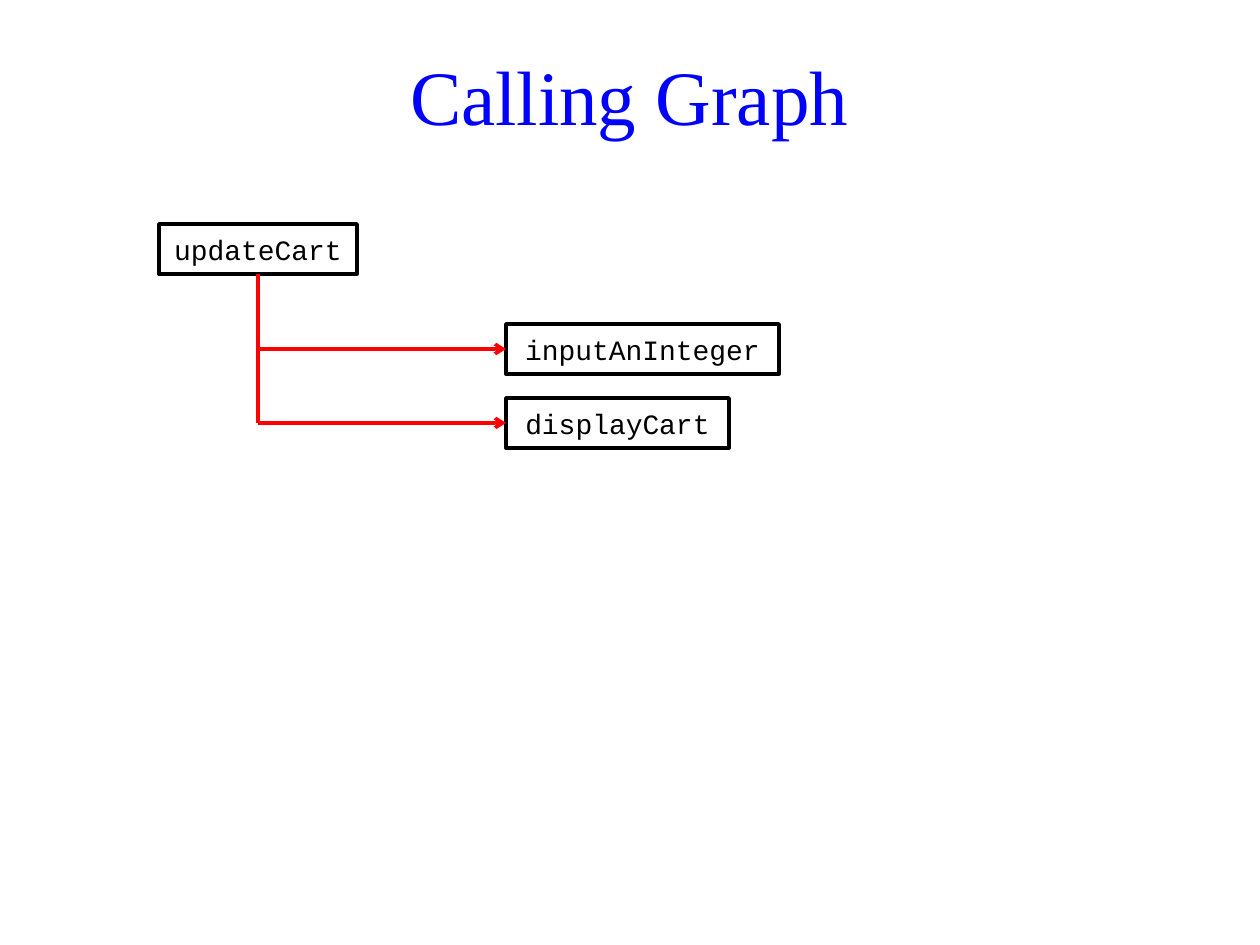
from dataclasses import dataclass

from lxml import etree
from pptx import Presentation
from pptx import util as u
from pptx.dml.color import RGBColor
from pptx.enum import shapes, text
from pptx.oxml import ns

SCALE = 914400 // 126


@dataclass(frozen=True)
class Theme:
    title_color: str = "0000FF"
    ink: str = "000000"
    arrow: str = "FF0000"
    title_font: str = "Times New Roman"
    code_font: str = "Courier New"
    title_size: int = 44
    code_size: int = 16
    line_width: int = 2


def px(*lengths):
    return [u.Emu(round(length * SCALE)) for length in lengths]


def apply(target, formats):
    for name, value in formats.items():
        setattr(target, name, value)


class GraphSlide:
    def __init__(self, presentation, theme):
        self.theme = theme
        self.slide = presentation.slides.add_slide(presentation.slide_layouts[5])

    def label(self, shape, words, font, size, color, margins, spacing=1.0):
        frame = shape.text_frame
        frame.text = words
        side, edge = px(*margins)
        apply(frame, {
            "word_wrap": True,
            "auto_size": text.MSO_AUTO_SIZE.NONE,
            "vertical_anchor": text.MSO_ANCHOR.MIDDLE,
            "margin_left": side, "margin_right": side,
            "margin_top": edge, "margin_bottom": edge,
        })
        paragraph = frame.paragraphs[0]
        apply(paragraph, {"alignment": text.PP_ALIGN.CENTER, "line_spacing": spacing})
        run_font = paragraph.runs[0].font
        apply(run_font, {"name": font, "size": u.Pt(size), "bold": False})
        run_font.color.rgb = RGBColor.from_string(color)

    def outline(self, shape, color):
        shape.line.color.rgb = RGBColor.from_string(color)
        shape.line.width = u.Pt(self.theme.line_width)

    def title(self, words, left, top, width, height):
        shape = self.slide.shapes.title
        apply(shape, dict(zip(("left", "top", "width", "height"),
                              px(left, top, width, height))))
        self.label(shape, words, self.theme.title_font, self.theme.title_size,
                   self.theme.title_color, (12, 6), 0.9)

    def box(self, words, left, top, width, height, side=12):
        shape = self.slide.shapes.add_shape(
            shapes.MSO_SHAPE.FLOWCHART_PROCESS, *px(left, top, width, height))
        shape.shadow.inherit = False
        shape.fill.background()
        self.outline(shape, self.theme.ink)
        self.label(shape, words, self.theme.code_font, self.theme.code_size,
                   self.theme.ink, (side, 6))

    def line(self, start, end, arrow=False):
        connector = self.slide.shapes.add_connector(
            shapes.MSO_CONNECTOR.STRAIGHT, *px(*start, *end))
        self.outline(connector, self.theme.arrow)
        properties = connector._element.spPr
        if arrow:
            etree.SubElement(properties.find(ns.qn("a:ln")),
                             ns.qn("a:tailEnd"), type="arrow")
        etree.SubElement(properties, ns.qn("a:effectLst"))


presentation = Presentation()
presentation.slide_width, presentation.slide_height = px(1260, 945)
graph = GraphSlide(presentation, Theme())
graph.title("Calling Graph", 34, 26, 1191, 149)

BOX_HEIGHT = 50
CALLER_LEFT, CALLER_TOP, CALLER_WIDTH = 159, 224, 198
CALLEE_LEFT = 506
callees = [("inputAnInteger", 324, 273, 10), ("displayCart", 398, 223, 12)]

graph.box("updateCart", CALLER_LEFT, CALLER_TOP, CALLER_WIDTH, BOX_HEIGHT)
for name, top, width, side in callees:
    graph.box(name, CALLEE_LEFT, top, width, BOX_HEIGHT, side)

trunk = CALLER_LEFT + CALLER_WIDTH // 2
branches = [top + BOX_HEIGHT // 2 for _, top, _, _ in callees]
graph.line((trunk, CALLER_TOP + BOX_HEIGHT), (trunk, branches[-1]))
for branch in branches:
    graph.line((trunk, branch), (CALLEE_LEFT, branch), arrow=True)

presentation.save("out.pptx")
